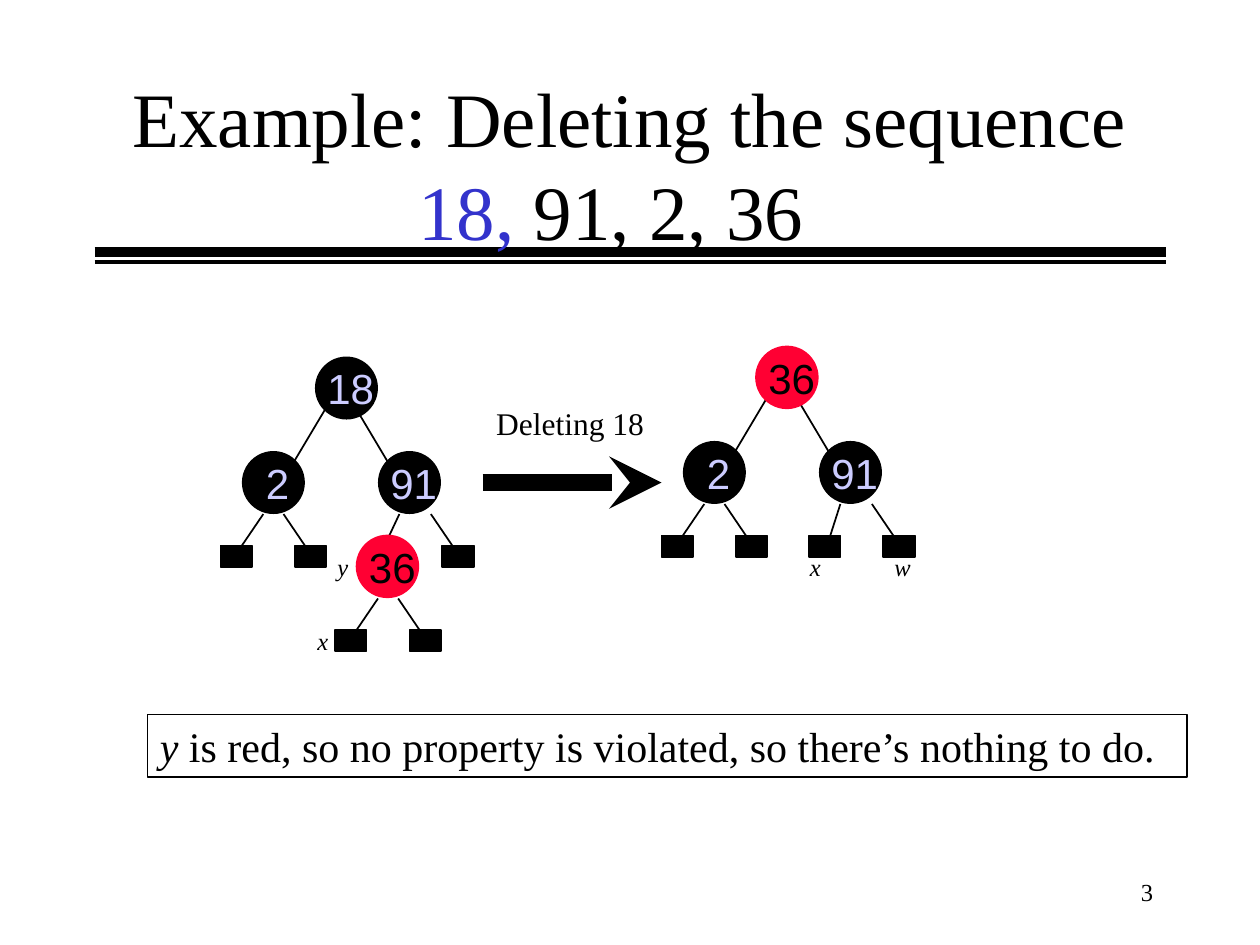
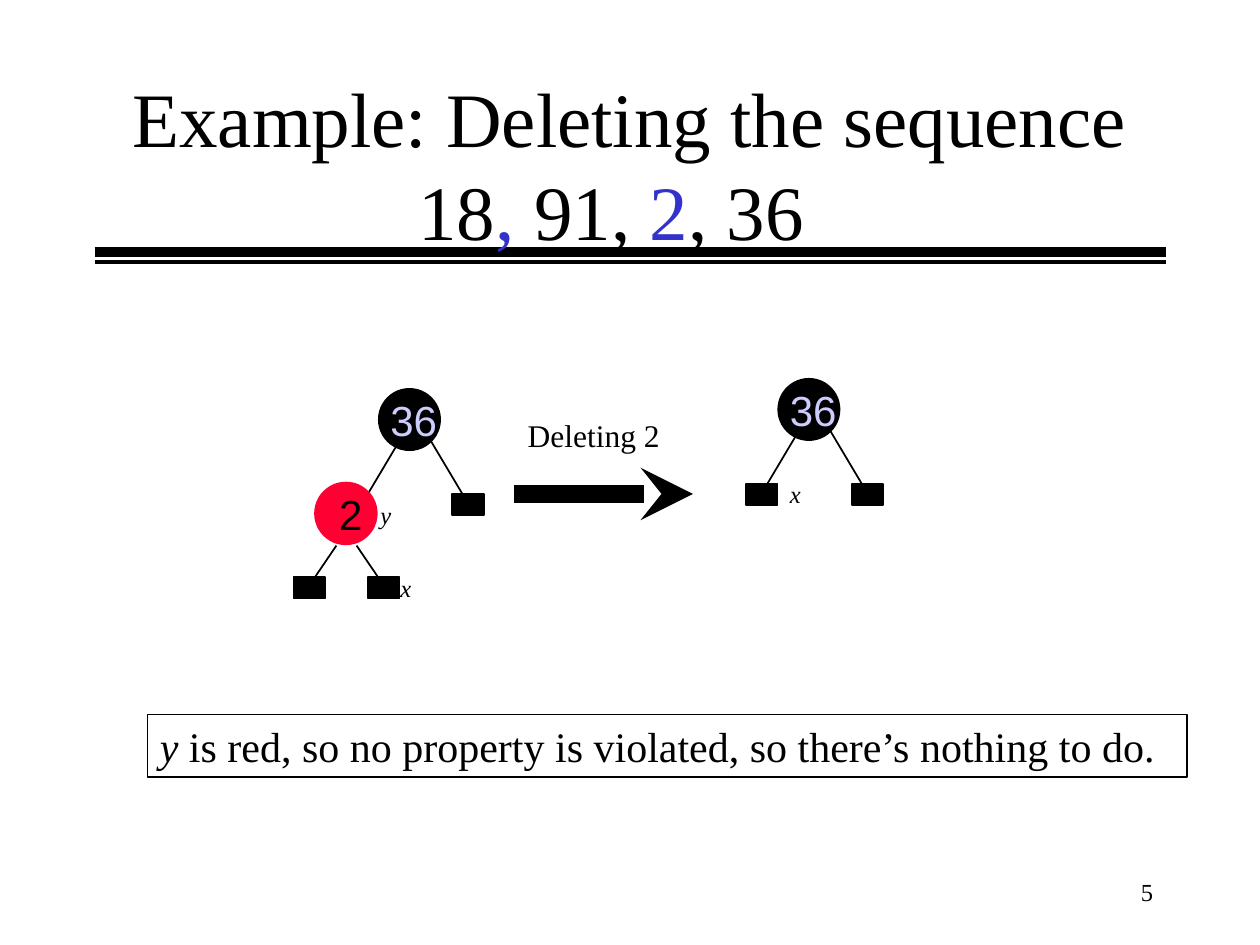
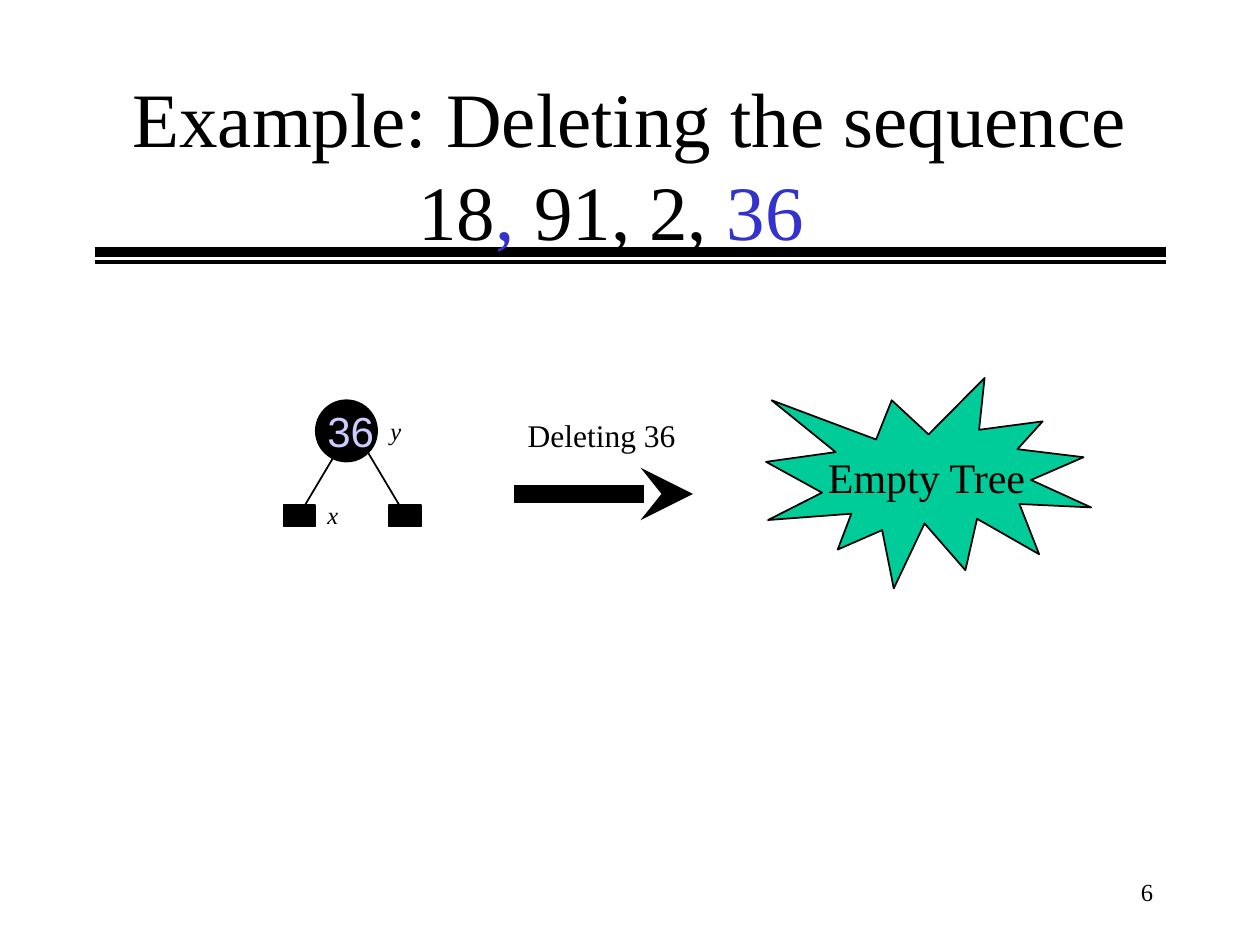
from dataclasses import dataclass
from typing import NamedTuple

from lxml import etree
from pptx import Presentation
from pptx.dml.color import RGBColor
from pptx.enum import shapes, text
from pptx.oxml import ns
from pptx.util import Inches, Pt


@dataclass(frozen=True)
class Theme:
    serif: str = "Times New Roman"
    sans: str = "Arial"
    black: str = "000000"
    red: str = "FF0033"
    blue: str = "3333CC"
    lilac: str = "CCCCFF"
    green: str = "00CC99"
    title: int = 44
    body: int = 24
    step: int = 18
    small: int = 14


THEME = Theme()


class Run(NamedTuple):
    words: str
    color: str = THEME.black
    italic: bool = False


class Limb(NamedTuple):
    """An edge: its start relative to the node, its extent, and whether a leaf ends it."""
    dx: float
    dy: float
    run: float
    drop: float
    leaf: bool = True


class Node(NamedTuple):
    x: float
    y: float
    key: str
    limbs: tuple[Limb, ...]
    red: bool = False


class Label(NamedTuple):
    x: float
    y: float
    name: str


class Step(NamedTuple):
    x: float
    y: float
    words: str


@dataclass(frozen=True)
class Page:
    number: int
    title: list[Run]
    step: Step
    nodes: list[Node]
    labels: list[Label]
    note: bool = True


NODE, LEAF_W, LEAF_H = 0.5, 0.25, 0.17
TWIN = (Limb(0.17, 0.5, -0.17, 0.25), Limb(0.33, 0.5, 0.17, 0.25))
ARCH = (Limb(0.08, 0.42, -0.25, 0.42, False), Limb(0.33, 0.42, 0.25, 0.42, False))
WIDE = (Limb(0.17, 0.42, -0.25, 0.42), Limb(0.42, 0.42, 0.25, 0.42))
HALF = (WIDE[0]._replace(leaf=False), WIDE[1])
OUTER = Limb(0.42, 0.5, 0.17, 0.25)
STEEP = (Limb(0.17, 0.5, -0.08, 0.25), OUTER)
SHORT = (Limb(0.17, 0.5, -0.08, 0.17, False), OUTER)

PAGES = [
    Page(
        3,
        [Run("18,", THEME.blue), Run(" 91, 2, 36")],
        Step(3.83, 3.83, "Deleting 18"),
        [
            Node(2.5, 2.83, "18", ARCH),
            Node(1.92, 3.58, " 2", TWIN),
            Node(3, 3.58, "91", SHORT),
            Node(2.83, 4.25, "36", TWIN, red=True),
            Node(6, 2.75, "36", ARCH, red=True),
            Node(5.42, 3.5, " 2", TWIN),
            Node(6.5, 3.5, "91", STEEP),
        ],
        [Label(2.58, 4.33, "y"), Label(2.42, 4.92, "x"),
         Label(6.33, 4.33, "x"), Label(7, 4.33, "w")],
    ),
    Page(
        5,
        [Run("18"), Run(", ", THEME.blue), Run("91, "), Run("2", THEME.blue), Run(", 36")],
        Step(4.08, 3.92, "Deleting 2"),
        [
            Node(3, 3.08, "36", HALF),
            Node(2.5, 3.83, " 2", TWIN, red=True),
            Node(6.17, 3, "36", WIDE),
        ],
        [Label(3.08, 4.5, "x"), Label(2.92, 3.92, "y"), Label(6.17, 3.75, "x")],
    ),
    Page(
        6,
        [Run("18"), Run(", ", THEME.blue), Run("91, 2, "), Run("36", THEME.blue)],
        Step(4.08, 3.92, "Deleting 36"),
        [Node(2.5, 3.17, "36", WIDE)],
        [Label(2.5, 3.92, "x"), Label(3, 3.25, "y")],
        note=False,
    ),
]


def rgb(color: str) -> RGBColor:
    return RGBColor.from_string(color)


def add_runs(para, runs: list[Run], size: int, face: str = THEME.serif) -> None:
    for item in runs:
        run = para.add_run()
        run.text = item.words
        run.font.name, run.font.size = face, Pt(size)
        run.font.italic = item.italic
        run.font.color.rgb = rgb(item.color)


def add_text(slide, x: float, y: float, w: float, h: float, runs: list[Run],
             size: int, face: str = THEME.serif):
    box = slide.shapes.add_textbox(Inches(x), Inches(y), Inches(w), Inches(h))
    box.text_frame.word_wrap = True
    add_runs(box.text_frame.paragraphs[0], runs, size, face)
    return box


def add_line(slide, x: float, y: float, run: float, drop: float,
             width: float = 1, arrow: bool = False) -> None:
    line = slide.shapes.add_connector(
        shapes.MSO_CONNECTOR.STRAIGHT,
        Inches(x), Inches(y), Inches(x + run), Inches(y + drop))
    line.line.width = Pt(width)
    line.line.color.rgb = rgb(THEME.black)
    if arrow:
        tip = etree.SubElement(line.line._get_or_add_ln(), ns.qn("a:tailEnd"))
        tip.set("type", "stealth")
    etree.SubElement(line._element.spPr, ns.qn("a:effectLst"))


def add_form(slide, kind, x: float, y: float, w: float, h: float,
             fill: str, edge: str | None = None):
    form = slide.shapes.add_shape(kind, Inches(x), Inches(y), Inches(w), Inches(h))
    form.shadow.inherit = False
    form.fill.solid()
    form.fill.fore_color.rgb = rgb(fill)
    if edge:
        form.line.color.rgb = rgb(edge)
        form.line.width = Pt(1)
    else:
        form.line.fill.background()
    return form


def add_limb(slide, node: Node, limb: Limb) -> None:
    x, y = node.x + limb.dx, node.y + limb.dy
    add_line(slide, x, y, limb.run, limb.drop)
    if limb.leaf:
        inset = 0.17 if limb.run < 0 else 0.08
        add_form(slide, shapes.MSO_SHAPE.RECTANGLE, x + limb.run - inset,
                 y + limb.drop, LEAF_W, LEAF_H, THEME.black, THEME.black)


def add_node(slide, node: Node) -> None:
    fill, ink = (THEME.red, THEME.black) if node.red else (THEME.black, THEME.lilac)
    size = NODE - 0.01 if node.red else NODE
    add_form(slide, shapes.MSO_SHAPE.OVAL, node.x, node.y, size, size,
             fill, THEME.red if node.red else None)
    add_text(slide, node.x, node.y, 0.75, NODE, [Run(node.key, ink)],
             THEME.body, THEME.sans)


def add_frame(slide, page: Page) -> None:
    """Draw the title, the double rule and the page number."""
    add_line(slide, 0.75, 2, 8.5, 0, 6)
    add_line(slide, 0.75, 2.08, 8.5, 0, 2)
    head = add_text(slide, 0.75, 0.67, 8.5, 1.25,
                    [Run("Example: Deleting the sequence")], THEME.title).text_frame
    head.vertical_anchor = text.MSO_ANCHOR.MIDDLE
    keys = head.add_paragraph()
    keys._p.get_or_add_pPr().set("marR", str(Inches(0.3)))
    add_runs(keys, page.title, THEME.title)
    for para in head.paragraphs:
        para.alignment = text.PP_ALIGN.CENTER
    foot = add_text(slide, 7.17, 6.83, 2.08, 0.5,
                    [Run(str(page.number))], THEME.small).text_frame
    foot.vertical_anchor = text.MSO_ANCHOR.MIDDLE
    foot.paragraphs[0].alignment = text.PP_ALIGN.RIGHT


def add_step(slide, step: Step) -> None:
    add_line(slide, step.x, step.y, 1.42, 0, 10, arrow=True)
    box = add_text(slide, step.x + 0.01, step.y - 0.67, 1.37, 0.4,
                   [Run(step.words)], THEME.step)
    box.text_frame.word_wrap = False
    box.text_frame.auto_size = text.MSO_AUTO_SIZE.SHAPE_TO_FIT_TEXT


def add_note(slide) -> None:
    box = add_text(slide, 1.17, 5.67, 8.25, 0.5, [
        Run("y", italic=True),
        Run(" is red, so no property is violated, so there’s nothing to do."),
    ], THEME.body)
    box.line.color.rgb = rgb(THEME.black)
    box.line.width = Pt(1)


def add_burst(slide) -> None:
    burst = add_form(slide, shapes.MSO_SHAPE.EXPLOSION1, 6.08, 3, 2.58, 1.67,
                     THEME.green, THEME.black)
    frame = burst.text_frame
    frame.word_wrap = False
    frame.vertical_anchor = text.MSO_ANCHOR.MIDDLE
    frame.paragraphs[0].alignment = text.PP_ALIGN.CENTER
    add_runs(frame.paragraphs[0], [Run("Empty Tree")], THEME.body)


def add_page(deck, page: Page) -> None:
    slide = deck.slides.add_slide(deck.slide_layouts[6])
    add_frame(slide, page)
    for node in page.nodes:
        for limb in node.limbs:
            add_limb(slide, node, limb)
    for node in page.nodes:
        add_node(slide, node)
    for label in page.labels:
        add_text(slide, label.x, label.y, 0.33, 0.34,
                 [Run(label.name, italic=True)], THEME.small)
    add_step(slide, page.step)
    if page.note:
        add_note(slide)
    else:
        add_burst(slide)


def main() -> None:
    deck = Presentation()
    deck.slide_width, deck.slide_height = Inches(10), Inches(7.5)
    for page in PAGES:
        add_page(deck, page)
    deck.save("out.pptx")


if __name__ == "__main__":
    main()
